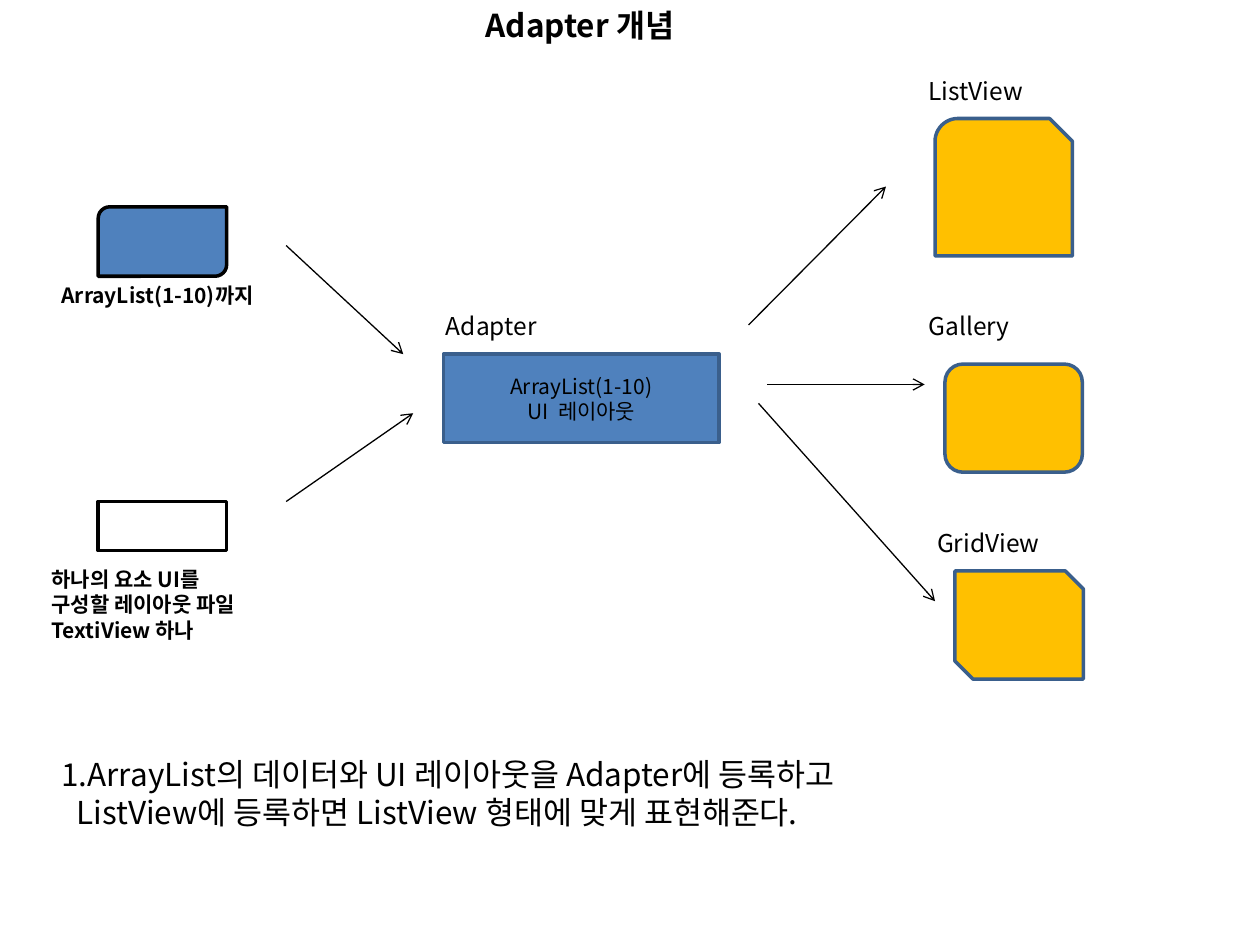
from lxml import etree
from pptx import Presentation
from pptx.dml.color import RGBColor
from pptx.enum.shapes import MSO_CONNECTOR, MSO_SHAPE
from pptx.enum.text import MSO_ANCHOR, PP_ALIGN
from pptx.oxml.ns import qn
from pptx.util import Cm, Pt

FONT = "Noto Sans CJK KR"
BLACK = RGBColor(0x00, 0x00, 0x00)
WHITE = RGBColor(0xFF, 0xFF, 0xFF)
BLUE = RGBColor(0x4F, 0x81, 0xBD)
DARK_BLUE = RGBColor(0x3A, 0x5F, 0x8C)
AMBER = RGBColor(0xFF, 0xC0, 0x00)

LEFT, CENTER = PP_ALIGN.LEFT, PP_ALIGN.CENTER
MIDDLE = MSO_ANCHOR.MIDDLE
STRAIGHT = MSO_CONNECTOR.STRAIGHT
RECTANGLE = MSO_SHAPE.RECTANGLE
ROUND_DIAGONAL = MSO_SHAPE.ROUND_2_DIAG_RECTANGLE
SNIP_ROUND = MSO_SHAPE.SNIP_ROUND_RECTANGLE
ROUNDED = MSO_SHAPE.ROUNDED_RECTANGLE
SNIP_DIAGONAL = MSO_SHAPE.SNIP_2_DIAG_RECTANGLE

# Start and end of each arrow, in centimetres
ARROWS = [
    (5.77, 4.95, 8.13, 7.14),
    (5.77, 10.11, 8.33, 8.33),
    (15.09, 6.55, 17.86, 3.76),
    (15.47, 7.75, 18.64, 7.75),
    (15.29, 8.13, 18.85, 12.12),
]


def write_lines(frame, lines, size, bold=False, align=LEFT):
    for index, line in enumerate(lines):
        para = frame.paragraphs[0] if index == 0 else frame.add_paragraph()
        para.text = line
        para.alignment = align
        para.line_spacing = Pt(round(size * 1.2, 1))
        font = para.font
        font.name, font.size, font.bold = FONT, Pt(size), bold
        font.color.rgb = BLACK
        defaults = para._p.pPr.find(qn("a:defRPr"))
        etree.SubElement(defaults, qn("a:ea"), typeface=FONT)


def add_text(page, left, top, width, height, lines, size, **style):
    box = page.shapes.add_textbox(Cm(left), Cm(top), Cm(width), Cm(height))
    box.text_frame.word_wrap = True
    write_lines(box.text_frame, lines, size, **style)
    return box


def add_block(page, kind, left, top, width, height, fill, outline):
    block = page.shapes.add_shape(kind, Cm(left), Cm(top), Cm(width), Cm(height))
    block.shadow.inherit = False
    block.fill.solid()
    block.fill.fore_color.rgb = fill
    block.line.color.rgb = outline
    block.line.width = Pt(2)
    return block


def add_arrow(page, *ends):
    arrow = page.shapes.add_connector(STRAIGHT, *map(Cm, ends))
    arrow.line.color.rgb = BLACK
    arrow.line.width = Pt(0.75)
    etree.SubElement(arrow.line._get_or_add_ln(), qn("a:tailEnd"), type="arrow")
    etree.SubElement(arrow._element.spPr, qn("a:effectLst"))


def add_input(page, kind, top, height, fill, caption, shift, gap):
    """Place an input block, its caption shifted left and a gap below it."""
    left = 1.98
    add_block(page, kind, left, top, 2.59, height, fill, BLACK)
    add_text(page, left - shift, top + height + gap, 7, 0.76 + 0.52 * (len(caption) - 1),
             caption, 12, bold=True)


def add_adapter(page, left, top):
    add_text(page, left - 0.2, top - 0.99, 6.15, 0.86, ["Adapter"], 14)
    block = add_block(page, RECTANGLE, left, top, 5.56, 1.78, BLUE, DARK_BLUE)
    block.text_frame.vertical_anchor = MIDDLE
    write_lines(block.text_frame, ["ArrayList(1-10)", "UI  레이아웃"], 12, align=CENTER)


def add_view(page, name, kind, left, top, width, height, shift, rise):
    """Place a view block, its name shifted left and raised above it."""
    add_block(page, kind, left, top, width, height, AMBER, DARK_BLUE)
    add_text(page, left - shift, top - rise, 3.76, 0.86, [name], 14)


def add_summary(page, left, top):
    box = add_text(page, left, top, 23.22, 1.8, [
        "1.ArrayList의 데이터와 UI 레이아웃을 Adapter에 등록하고",
        "ListView에 등록하면 ListView 형태에 맞게 표현해준다.",
    ], 18)
    box.text_frame.paragraphs[1]._p.pPr.set("marL", str(Cm(0.3)))


def main():
    deck = Presentation()
    deck.slide_width, deck.slide_height = Cm(25.4), Cm(19.05)
    page = deck.slides.add_slide(deck.slide_layouts[6])

    add_text(page, 1.57, 0, 20.24, 1.02, ["Adapter 개념"], 18, bold=True, align=CENTER)
    add_adapter(page, 8.94, 7.14)
    add_input(page, ROUND_DIAGONAL, 4.17, 1.4, BLUE, ["ArrayList(1-10)까지"], 0.99, 0)
    add_input(page, RECTANGLE, 10.11, 0.99, WHITE,
              ["하나의 요소 UI를", "구성할 레이아웃 파일", "TextiView 하나"], 1.19, 0.2)
    add_view(page, "ListView", SNIP_ROUND, 18.85, 2.39, 2.77, 2.77, 0.38, 0.99)
    add_view(page, "Gallery", ROUNDED, 19.05, 7.34, 2.77, 2.18, 0.58, 1.19)
    add_view(page, "GridView", SNIP_DIAGONAL, 19.25, 11.51, 2.59, 2.18, 0.61, 0.99)
    for ends in ARROWS:
        add_arrow(page, *ends)
    add_summary(page, 0.99, 15.09)

    deck.save("out.pptx")


if __name__ == "__main__":
    main()
